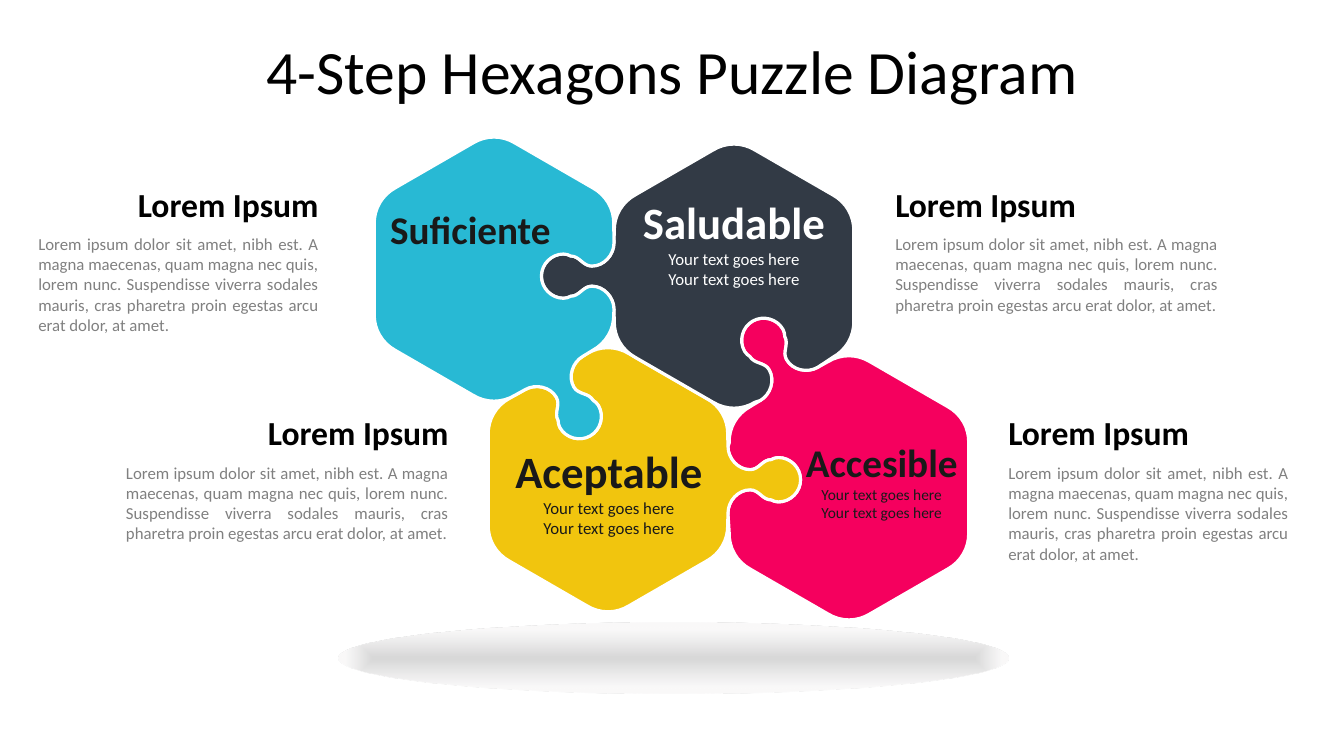
from dataclasses import dataclass
from itertools import chain
from math import cos, radians, sin

from lxml import etree
from pptx import Presentation
from pptx.dml.color import RGBColor
from pptx.enum.shapes import MSO_SHAPE
from pptx.enum.text import MSO_ANCHOR, MSO_AUTO_SIZE, PP_ALIGN
from pptx.oxml.ns import qn
from pptx.util import Inches, Pt

ELLIPSE = MSO_SHAPE.OVAL
LEFT, CENTER, RIGHT, JUSTIFY = PP_ALIGN.LEFT, PP_ALIGN.CENTER, PP_ALIGN.RIGHT, PP_ALIGN.JUSTIFY
TOP, MIDDLE, BOTTOM = MSO_ANCHOR.TOP, MSO_ANCHOR.MIDDLE, MSO_ANCHOR.BOTTOM
GROW, FIXED = MSO_AUTO_SIZE.SHAPE_TO_FIT_TEXT, MSO_AUTO_SIZE.NONE

Point = tuple[float, float]
Curve = list[Point]


@dataclass(frozen=True)
class Theme:
    font: str = "Calibri"
    black: str = "000000"
    ink: str = "191919"
    white: str = "FFFFFF"
    gray: str = "808080"
    pink: str = "F5005E"
    yellow: str = "F1C50E"
    navy: str = "323A45"
    blue: str = "28B9D4"
    shadow_core: str = "A6A6A6"
    shadow_rim: str = "F0EEEF"
    title_size: float = 44
    large_label: float = 32
    label: float = 28
    heading: float = 24
    body: float = 12
    small: float = 11
    outline: float = 2.25


THEME = Theme()


@dataclass(frozen=True)
class Piece:
    """A hexagon with a tab at tab_angle (degrees clockwise from right) and one neighbour's notch."""
    x: float
    y: float
    fill: str
    tab_angle: int
    neighbour: str


@dataclass(frozen=True)
class Label:
    name: str
    box: tuple[float, float, float, float]
    size: float
    color: str
    detail_size: float = 0


@dataclass(frozen=True)
class Caption:
    left: float
    top: float
    width: float
    body_height: float
    align: PP_ALIGN


# Back to front.
PIECES = {
    "Accesible": Piece(8.42, 4.84, THEME.pink, 240, "Aceptable"),
    "Aceptable": Piece(6.03, 4.76, THEME.yellow, 0, "Suficiente"),
    "Saludable": Piece(7.28, 2.74, THEME.navy, 180, "Accesible"),
    "Suficiente": Piece(4.9, 2.67, THEME.blue, 60, "Saludable"),
}
LABELS = [
    Label("Suficiente", (3.69, 1.99, 1.95, 0.57), THEME.label, THEME.ink),
    Label("Saludable", (6.17, 1.88, 2.22, 1.04), THEME.large_label, THEME.white, THEME.body),
    Label("Aceptable", (4.93, 4.35, 2.22, 1.04), THEME.large_label, THEME.ink, THEME.body),
    Label("Accesible", (7.79, 4.27, 1.91, 0.98), THEME.label, THEME.ink, THEME.small),
]
CAPTIONS = [
    Caption(0.38, 1.77, 2.78, 1.11, RIGHT),
    Caption(10, 4.04, 2.78, 1.11, LEFT),
    Caption(8.88, 1.77, 3.2, 0.91, LEFT),
    Caption(1.25, 4.04, 3.2, 0.91, RIGHT),
]
DETAIL = "Your text goes here"
HEADING = "Lorem Ipsum"
HEADING_HEIGHT = 0.5
BODY = (
    "Lorem ipsum dolor sit amet, nibh est. A magna maecenas, quam magna nec quis, lorem nunc. "
    "Suspendisse viverra sodales mauris, cras pharetra proin egestas arcu erat dolor, at amet."
)

# Bézier curves about the hexagon's centre: its top corner, and the upper half of a tab on its right.
CORNER = [(-0.21, -1.25), (-0.08, -1.33), (0.08, -1.33), (0.21, -1.25)]
HALF_TAB = [
    [(1.19, -0.33), (1.19, -0.21), (1.29, -0.1), (1.41, -0.1)],
    [(1.41, -0.1), (1.5, -0.1), (1.53, -0.2), (1.62, -0.2)],
    [(1.62, -0.2), (1.64, -0.21), (1.66, -0.22), (1.69, -0.22)],
    [(1.69, -0.22), (1.81, -0.22), (1.91, -0.12), (1.91, 0)],
]


def place(curve: Curve, piece: Piece, angle: float) -> Curve:
    """Turn a curve clockwise about the origin and move it to the piece's centre."""
    c, s = cos(radians(angle)), sin(radians(angle))
    return [(piece.x + x * c - y * s, piece.y + x * s + y * c) for x, y in curve]


def reverse(curves: list[Curve]) -> list[Curve]:
    return [curve[::-1] for curve in reversed(curves)]


def tab_curves(piece: Piece) -> list[Curve]:
    mirrored = [[(x, -y) for x, y in curve] for curve in HALF_TAB]
    return [place(curve, piece, piece.tab_angle) for curve in HALF_TAB + reverse(mirrored)]


def outline(piece: Piece) -> list[Curve]:
    neighbour = PIECES[piece.neighbour]
    notch_angle = (neighbour.tab_angle + 180) % 360
    curves = []
    for turn in range(0, 360, 60):
        curves.append(place(CORNER, piece, turn))
        side = (turn - 60) % 360
        if side == piece.tab_angle:
            curves += tab_curves(piece)
        elif side == notch_angle:
            curves += reverse(tab_curves(neighbour))
    return curves


def bend_segments(shape) -> None:
    """Turn each run of four segments into one line and one Bézier curve, dropping empty lines."""
    path = shape._element.spPr.find(".//" + qn("a:path"))
    segments = list(path)[:-1]
    for first in range(0, len(segments), 4):
        straight, *bends = segments[first:first + 4]
        curve = etree.Element(qn("a:cubicBezTo"))
        straight.addnext(curve)
        for bend in bends:
            curve.append(bend[0])
            path.remove(bend)
        previous = straight.getprevious()
        if previous is not None and dict(previous[-1].attrib) == dict(straight[0].attrib):
            path.remove(straight)


def draw_piece(shapes, piece: Piece) -> None:
    points = [(Inches(x), Inches(y)) for x, y in chain.from_iterable(outline(piece))]
    builder = shapes.build_freeform(*points[0])
    builder.add_line_segments(points[1:], close=True)
    shape = builder.convert_to_shape()
    bend_segments(shape)
    shape.shadow.inherit = False
    shape.fill.solid()
    shape.fill.fore_color.rgb = RGBColor.from_string(piece.fill)
    shape.line.color.rgb = RGBColor.from_string(THEME.white)
    shape.line.width = Pt(THEME.outline)


def add_text(shapes, box: tuple[float, float, float, float], lines: list[tuple[str, float, bool]], *,
             color: str, align: PP_ALIGN, anchor: MSO_ANCHOR = MIDDLE, inset: float = 0.1,
             auto_size: MSO_AUTO_SIZE = GROW, spacing: float = 1.0) -> None:
    """Each line is a paragraph given as text, size and bold."""
    frame = shapes.add_textbox(*map(Inches, box)).text_frame
    frame.word_wrap, frame.auto_size, frame.vertical_anchor = True, auto_size, anchor
    frame.margin_left = frame.margin_right = Inches(inset)
    for index, (text, size, bold) in enumerate(lines):
        para = frame.add_paragraph() if index else frame.paragraphs[0]
        para.alignment, para.line_spacing = align, spacing
        span = para.add_run()
        span.text = text
        span.font.name, span.font.size, span.font.bold = THEME.font, Pt(size), bold
        span.font.color.rgb = RGBColor.from_string(color)


def draw_floor_shadow(shapes) -> None:
    shape = shapes.add_shape(ELLIPSE, *map(Inches, (3.36, 6.18, 6.64, 0.7)))
    shape.shadow.inherit = False
    shape.line.fill.background()
    gradient = etree.Element(qn("a:gradFill"), rotWithShape="1")
    stops = etree.SubElement(gradient, qn("a:gsLst"))
    for position, color, alpha in ((5, THEME.shadow_core, 42), (80, THEME.shadow_rim, 35),
                                   (100, THEME.shadow_rim, 0)):
        stop = etree.SubElement(stops, qn("a:gs"), pos=str(position * 1000))
        tone = etree.SubElement(stop, qn("a:srgbClr"), val=color)
        etree.SubElement(tone, qn("a:alpha"), val=str(alpha * 1000))
    spread = etree.SubElement(gradient, qn("a:path"), {"path": "shape"})
    etree.SubElement(spread, qn("a:fillToRect"), dict.fromkeys("ltrb", "50000"))
    shape._element.spPr.find(qn("a:prstGeom")).addnext(gradient)


def draw_caption(shapes, caption: Caption) -> None:
    group = shapes.add_group_shape().shapes
    add_text(group, (caption.left, caption.top, caption.width, HEADING_HEIGHT),
             [(HEADING, THEME.heading, True)],
             color=THEME.black, align=caption.align, anchor=BOTTOM, inset=0)
    add_text(group, (caption.left, caption.top + HEADING_HEIGHT, caption.width, caption.body_height),
             [(BODY, THEME.body, False)], color=THEME.gray, align=JUSTIFY, anchor=TOP, inset=0)


def main() -> None:
    deck = Presentation()
    deck.slide_width, deck.slide_height = Inches(13.33), Inches(7.5)
    shapes = deck.slides.add_slide(deck.slide_layouts[6]).shapes
    add_text(shapes, (0.92, 0.01, 11.5, 1.45),
             [("4-Step Hexagons Puzzle Diagram", THEME.title_size, False)],
             color=THEME.black, align=CENTER, auto_size=FIXED, spacing=0.9)
    for piece in PIECES.values():
        draw_piece(shapes, piece)
    for label in LABELS:
        details = [(DETAIL, label.detail_size, False)] * 2 if label.detail_size else []
        add_text(shapes, label.box, [(label.name, label.size, True), *details],
                 color=label.color, align=CENTER)
    draw_floor_shadow(shapes)
    for caption in CAPTIONS:
        draw_caption(shapes, caption)
    deck.save("out.pptx")


if __name__ == "__main__":
    main()
